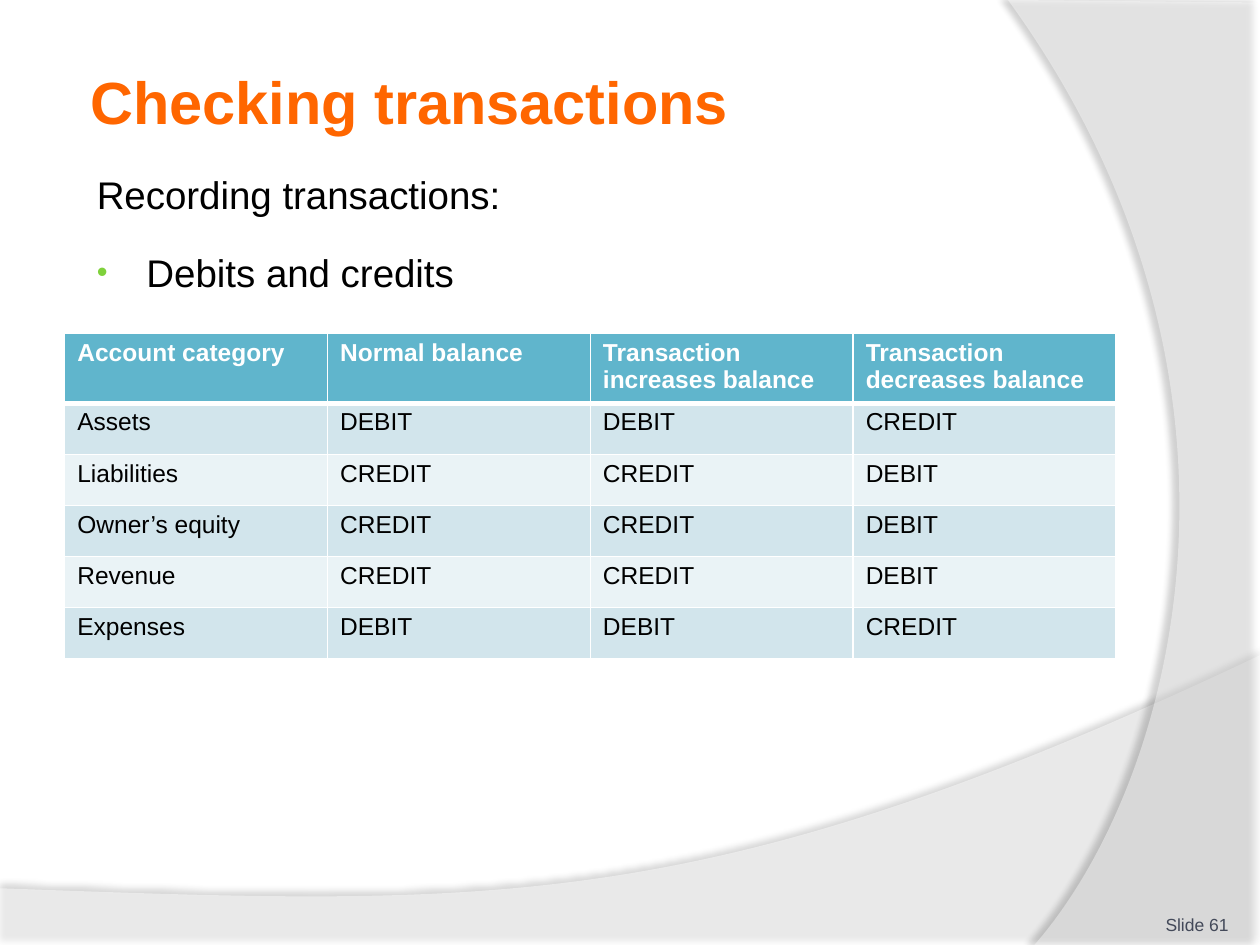
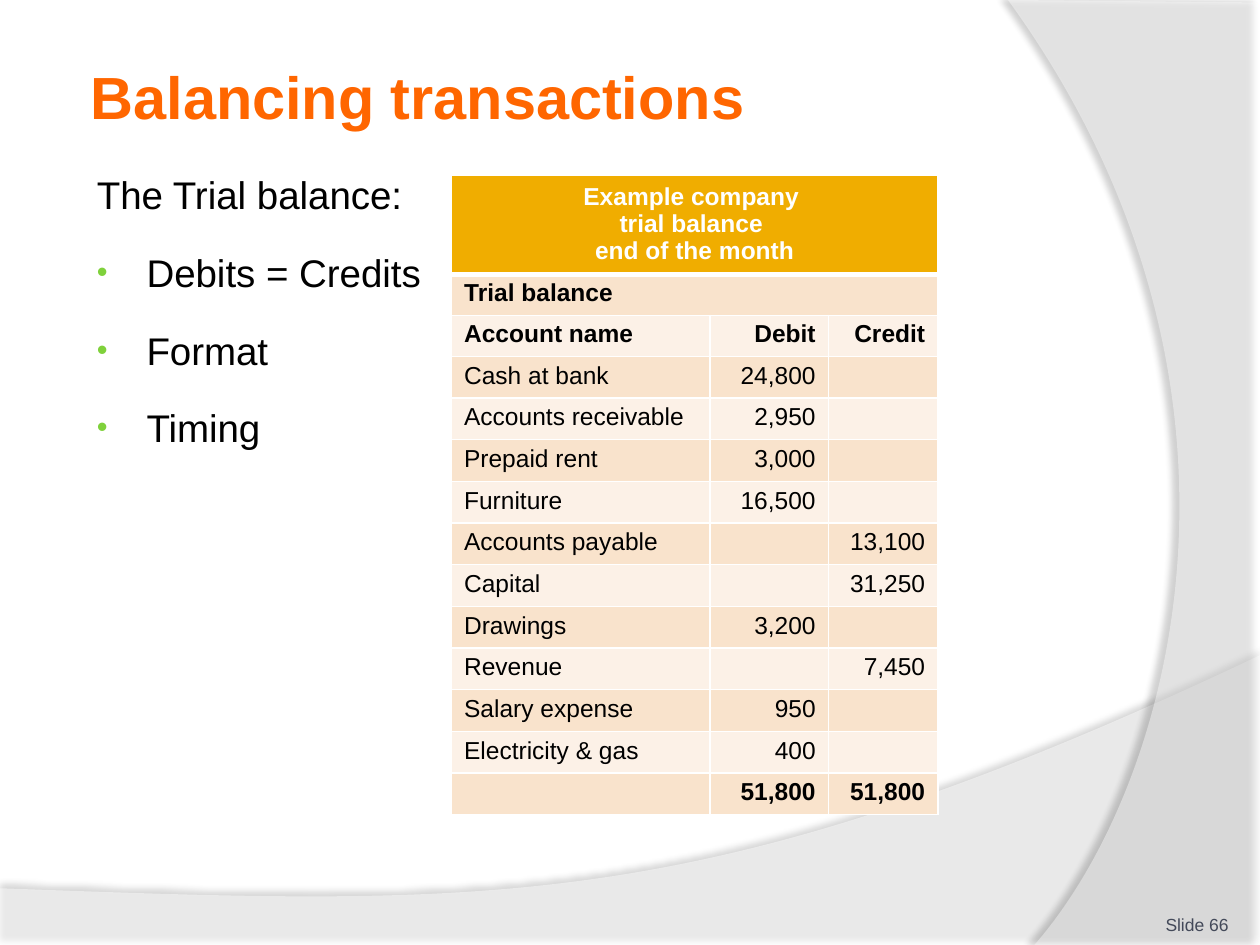
from lxml import etree
from pptx import Presentation
from pptx.dml.color import RGBColor
from pptx.enum.text import MSO_ANCHOR, PP_ALIGN
from pptx.oxml.ns import qn
from pptx.util import Pt

LEFT, CENTER, RIGHT = PP_ALIGN.LEFT, PP_ALIGN.CENTER, PP_ALIGN.RIGHT
TOP, MIDDLE, BOTTOM = MSO_ANCHOR.TOP, MSO_ANCHOR.MIDDLE, MSO_ANCHOR.BOTTOM

FONT = "Arial"
WHITE = RGBColor(0xFF, 0xFF, 0xFF)
BLACK = RGBColor(0x00, 0x00, 0x00)
ORANGE = RGBColor(0xFF, 0x66, 0x00)
GREEN = RGBColor(0x7F, 0xD1, 0x3B)
SLATE = RGBColor(0x43, 0x49, 0x59)
BLUE_BANDS = (RGBColor(0x60, 0xB5, 0xCC), RGBColor(0xD2, 0xE5, 0xEC), RGBColor(0xEA, 0xF3, 0xF6))
GOLD_BANDS = (RGBColor(0xF0, 0xAD, 0x00), RGBColor(0xF9, 0xE3, 0xCC), RGBColor(0xFC, 0xF1, 0xE7))

SLIDE_WIDTH, SLIDE_HEIGHT = 720, 540
MARGIN = 48.24
BULLET_INDENT = 28.4
TABLE_TEXT_SIZE = 14
TABLE_LINE_SPACING = 0.98

ACCOUNT_RULES = [
    ["Account category", "Normal balance", "Transaction increases balance", "Transaction decreases balance"],
    ["Assets", "DEBIT", "DEBIT", "CREDIT"],
    ["Liabilities", "CREDIT", "CREDIT", "DEBIT"],
    ["Owner’s equity", "CREDIT", "CREDIT", "DEBIT"],
    ["Revenue", "CREDIT", "CREDIT", "DEBIT"],
    ["Expenses", "DEBIT", "DEBIT", "CREDIT"],
]
TRIAL_BALANCE = [
    ["Example company \ntrial balance \nend of the month", "", ""],
    ["Trial balance", "", ""],
    ["Account name", "Debit", "Credit"],
    ["Cash at bank", "24,800", ""],
    ["Accounts receivable", "2,950", ""],
    ["Prepaid rent", "3,000", ""],
    ["Furniture", "16,500", ""],
    ["Accounts payable", "", "13,100"],
    ["Capital", "", "31,250"],
    ["Drawings", "3,200", ""],
    ["Revenue", "", "7,450"],
    ["Salary expense", "950", ""],
    ["Electricity & gas", "400", ""],
    ["", "51,800", "51,800"],
]


def add_element(parent, tag, **attributes):
    element = etree.SubElement(parent, qn(tag))
    for name, value in attributes.items():
        element.set(name, str(value))
    return element


def style_paragraph(paragraph, size, color, bold=False, align=LEFT):
    paragraph.alignment = align
    paragraph.font.name = FONT
    paragraph.font.size = Pt(size)
    paragraph.font.bold = bold
    paragraph.font.color.rgb = color


def set_insets(frame, inset):
    frame.margin_left = frame.margin_right = Pt(inset)
    frame.margin_top = frame.margin_bottom = Pt(inset)


def curve_last_segment(shape, controls):
    segment = list(shape.element.iter(qn("a:lnTo")))[-1]
    segment.tag = qn("a:cubicBezTo")
    for index, (x, y) in enumerate(controls):
        point = add_element(segment, "a:pt", x=Pt(x) - shape.left, y=Pt(y) - shape.top)
        segment.insert(index, point)


def add_sweep(slide, corners, controls, opacity, shadow_opacity, distance, direction):
    first, *others = [(Pt(x), Pt(y)) for x, y in corners]
    builder = slide.shapes.build_freeform(*first, scale=1.0)
    builder.add_line_segments(others, close=True)
    shape = builder.convert_to_shape()
    curve_last_segment(shape, controls)
    shape.fill.solid()
    shape.fill.fore_color.rgb = WHITE
    shape.line.fill.background()
    shape.shadow.inherit = False
    properties = shape.element.spPr
    fill_color = properties.find(qn("a:solidFill")).find(qn("a:srgbClr"))
    add_element(fill_color, "a:alpha", val=opacity * 1000)
    shadow = add_element(properties.find(qn("a:effectLst")), "a:outerShdw", blurRad=Pt(4),
                         dist=Pt(distance), dir=direction * 60000, algn="ctr", rotWithShape=0)
    shadow_color = add_element(shadow, "a:srgbClr", val=BLACK)
    add_element(shadow_color, "a:alpha", val=shadow_opacity * 1000)


def add_backdrop(slide):
    floor = [(0, 540.72), (SLIDE_WIDTH, 540.72), (SLIDE_WIDTH, 374.4), (0, 507.6)]
    add_sweep(slide, floor, [(402.48, 524.88), (281.52, 517.68)], 45, 35, 3.5, 270)
    side = [(SLIDE_WIDTH, 1.44), (SLIDE_WIDTH, SLIDE_HEIGHT), (591.12, SLIDE_HEIGHT), (576, 0)]
    add_sweep(slide, side, [(673.2, 445.68), (732.96, 216)], 40, 45, 4, 180)


def set_title(slide, text, height):
    title = slide.shapes.title
    title.left, title.top, title.width, title.height = Pt(MARGIN), Pt(26.4), Pt(588), Pt(height)
    slide.shapes.element.append(title.element)
    frame = title.text_frame
    frame.text = text
    frame.vertical_anchor = MIDDLE
    set_insets(frame, 3.6)
    style_paragraph(frame.paragraphs[0], 34, ORANGE, bold=True)


def add_bullet(paragraph):
    properties = paragraph._p.get_or_add_pPr()
    properties.set("marL", str(Pt(BULLET_INDENT)))
    properties.set("indent", str(-Pt(BULLET_INDENT)))
    bullet_color = add_element(properties, "a:buClr")
    add_element(bullet_color, "a:srgbClr", val=GREEN)
    add_element(properties, "a:buSzPct", val=80000)
    add_element(properties, "a:buFont", typeface=FONT)
    add_element(properties, "a:buChar", char="•")


def add_body(slide, lead, bullets, width, height):
    box = slide.shapes.add_textbox(Pt(MARGIN), Pt(94.3), Pt(width), Pt(height))
    frame = box.text_frame
    frame.word_wrap = True
    frame.text = "\n".join([lead, *bullets])
    for index, paragraph in enumerate(frame.paragraphs):
        if index:
            add_bullet(paragraph)
            paragraph.space_before = Pt(6)
        paragraph.space_after = Pt(12)
        style_paragraph(paragraph, 22, BLACK)


def add_slide_number(slide, number):
    box = slide.shapes.add_textbox(Pt(642.24), Pt(505.44), Pt(59.76), Pt(28.8))
    frame = box.text_frame
    frame.word_wrap = True
    frame.vertical_anchor = BOTTOM
    set_insets(frame, 0)
    frame.text = f"Slide {number}"
    style_paragraph(frame.paragraphs[0], 10, SLATE, align=RIGHT)


def set_borders(cell, row):
    properties = cell._tc.get_or_add_tcPr()
    widths = {"a:lnL": 1, "a:lnR": 1, "a:lnT": 3 if row == 1 else 1, "a:lnB": 3 if row == 0 else 1}
    for tag, width in widths.items():
        line = add_element(properties, tag, w=Pt(width))
        add_element(add_element(line, "a:solidFill"), "a:srgbClr", val=WHITE)


def fill_cell(cell, text, row, bands, bold, align, anchor):
    set_borders(cell, row)
    cell.fill.solid()
    cell.fill.fore_color.rgb = bands[0] if row == 0 else bands[2 - row % 2]
    cell.vertical_anchor = anchor
    cell.margin_top = cell.margin_bottom = Pt(3.5)
    cell.text = text
    for paragraph in cell.text_frame.paragraphs:
        paragraph.line_spacing = TABLE_LINE_SPACING
        style_paragraph(paragraph, TABLE_TEXT_SIZE, WHITE if row == 0 else BLACK, bold, align)
        if not text:
            end_properties = paragraph._p.get_or_add_endParaRPr()
            end_properties.set("sz", str(TABLE_TEXT_SIZE * 100))
            add_element(end_properties, "a:latin", typeface=FONT)


def add_banded_table(slide, rows, left, top, widths, header_height, row_height, bands,
                     bold_rows=(0,), merged_rows=(), number_columns=()):
    heights = [header_height] + [row_height] * (len(rows) - 1)
    frame = slide.shapes.add_table(len(rows), len(widths), Pt(left), Pt(top),
                                   Pt(sum(widths)), Pt(sum(heights)))
    table = frame.table
    table.horz_banding = False
    for column, width in zip(table.columns, widths):
        column.width = Pt(width)
    for table_row, height in zip(table.rows, heights):
        table_row.height = Pt(height)
    for row, texts in enumerate(rows):
        for column, text in enumerate(texts):
            centered = row == 0 and row in merged_rows
            align = CENTER if centered else RIGHT if column in number_columns else LEFT
            fill_cell(table.cell(row, column), text, row, bands, row in bold_rows,
                      align, MIDDLE if centered else TOP)
    for row in merged_rows:
        table.cell(row, 0).merge(table.cell(row, len(widths) - 1))


def add_content_slide(presentation, title, title_height, number):
    slide = presentation.slides.add_slide(presentation.slide_layouts[5])
    add_backdrop(slide)
    set_title(slide, title, title_height)
    add_slide_number(slide, number)
    return slide


def main():
    presentation = Presentation()
    presentation.slide_width = Pt(SLIDE_WIDTH)
    presentation.slide_height = Pt(SLIDE_HEIGHT)

    checking = add_content_slide(presentation, "Checking transactions", 62.64, 61)
    add_body(checking, "Recording transactions:", ["Debits and credits"], 612, 430)
    add_banded_table(checking, ACCOUNT_RULES, 37, 190.5, [150.2] * 4, 38.4, 29.2, BLUE_BANDS)

    balancing = add_content_slide(presentation, "Balancing transactions", 56.88, 66)
    add_body(balancing, "The Trial balance:", ["Debits = Credits", "Format", "Timing"], 588, 356)
    add_banded_table(balancing, TRIAL_BALANCE, 258, 100.3, [147.6, 67.7, 62.6], 54.3, 23, GOLD_BANDS,
                     bold_rows=(0, 1, 2, 13), merged_rows=(0, 1), number_columns=(1, 2))

    presentation.save("out.pptx")


if __name__ == "__main__":
    main()
